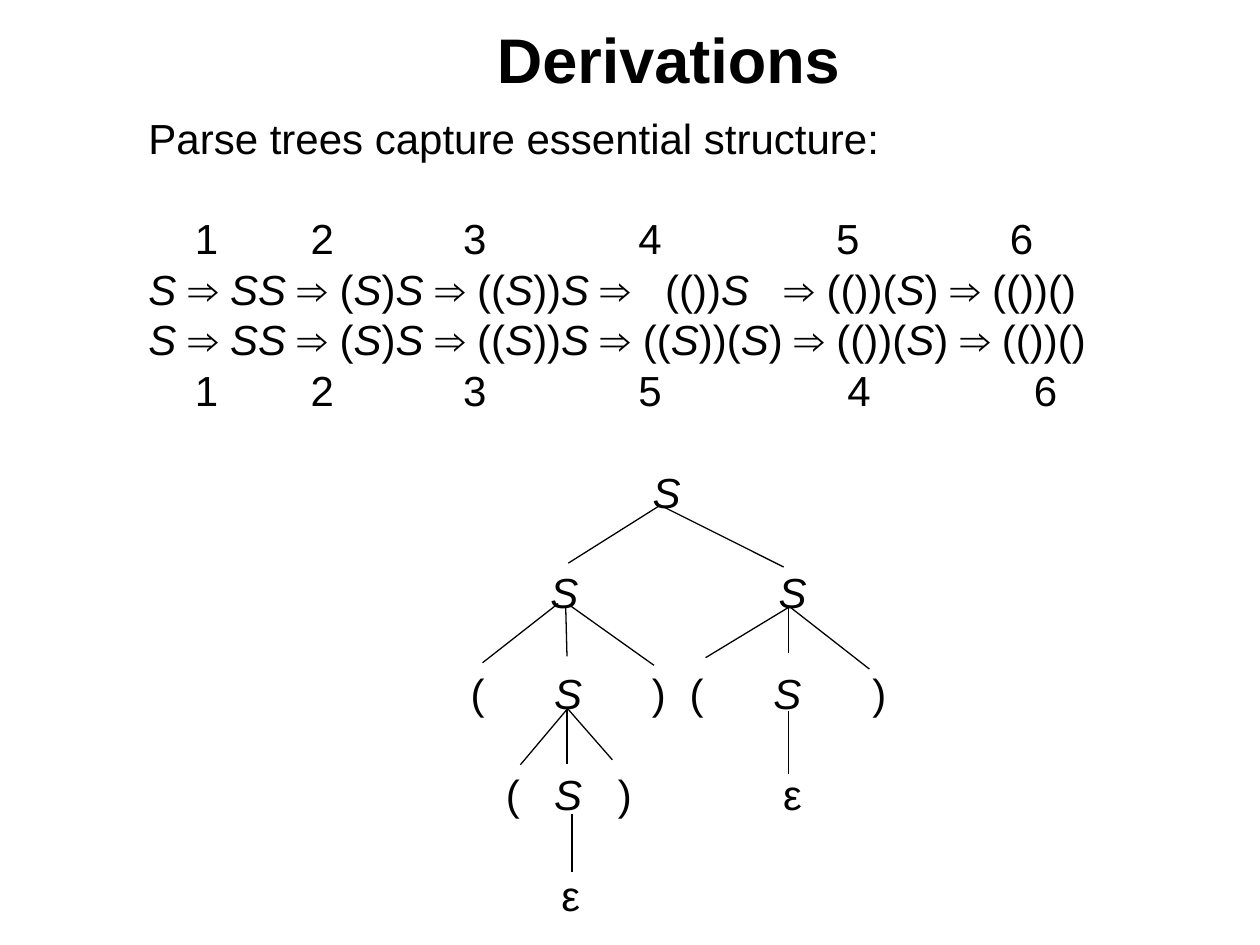
from itertools import groupby

from lxml import etree
from pptx import Presentation
from pptx.dml.color import RGBColor
from pptx.enum.shapes import MSO_CONNECTOR
from pptx.enum.text import MSO_ANCHOR, PP_ALIGN
from pptx.oxml.ns import qn
from pptx.util import Inches, Pt

STRAIGHT = MSO_CONNECTOR.STRAIGHT
MIDDLE = MSO_ANCHOR.MIDDLE
CENTER = PP_ALIGN.CENTER

COLORS = {"ink": "000000"}
FONT = "Arial"
TITLE_SIZE = 36
BODY_SIZE = 24
LINE_PITCH = 28.8

# Text lines: text, tab alignment, tab stops in inches, space before in points
LINES = [
    ("Parse trees capture essential structure:", "l", [], 0),
    ("\t1\t2\t3\t4\t5\t6", "ctr", [0.46, 1.38, 2.59, 3.98, 5.55, 6.93], LINE_PITCH),
    ("S ⇒ SS ⇒ (S)S ⇒ ((S))S ⇒\t(())S\t⇒ (())(S) ⇒ (())()", "l", [4.1, 5.05], 0),
    ("S ⇒ SS ⇒ (S)S ⇒ ((S))S ⇒ ((S))(S) ⇒ (())(S) ⇒ (())()", "l", [], 0),
    ("\t1\t2\t3\t5\t4\t6", "ctr", [0.46, 1.38, 2.59, 3.98, 5.64, 7.12], 0),
]

# Parse tree levels: symbol and centre x
TREE_TOP = 3.9
LEVEL_GAP = 0.8
NODE_SIZE = 0.4
TREE_LEVELS = [
    [("S", 5.29)],
    [("S", 4.48), ("S", 6.29)],
    [("(", 3.79), ("S", 4.51), (")", 5.23), ("(", 5.53), ("S", 6.25), (")", 6.98)],
    [("(", 4.07), ("S", 4.51), (")", 4.96), ("ε", 6.29)],
    [("ε", 4.53)],
]

# Branches from parent to child: x1, y1, x2, y2
BRANCHES = [
    (5.24, 4.01, 4.51, 4.47), (5.24, 4.01, 6.22, 4.5),
    (4.43, 4.79, 3.83, 5.26), (4.49, 4.82, 4.5, 5.21), (4.53, 4.81, 5.19, 5.28),
    (6.26, 4.82, 5.6, 5.22), (6.26, 4.82, 6.26, 5.18), (6.26, 4.81, 6.9, 5.31),
    (4.5, 5.63, 4.13, 6.07), (4.5, 5.61, 4.5, 6.06), (4.51, 5.63, 4.86, 6.03),
    (6.26, 5.64, 6.26, 6.14), (4.54, 6.46, 4.54, 6.92),
]


def ink():
    return RGBColor.from_string(COLORS["ink"])


def style_span(span, size, bold=False, italic=False):
    span.font.name = FONT
    span.font.size = Pt(size)
    span.font.bold = bold
    span.font.italic = italic
    span.font.color.rgb = ink()


def write_symbols(para, text):
    """Write grammar text with every nonterminal S in italics."""
    for is_nonterminal, letters in groupby(text, lambda letter: letter == "S"):
        span = para.add_run()
        span.text = "".join(letters)
        style_span(span, BODY_SIZE, italic=is_nonterminal)


def set_tabs(para, alignment, stops):
    tab_list = etree.SubElement(para._p.get_or_add_pPr(), qn("a:tabLst"))
    for stop in stops:
        etree.SubElement(tab_list, qn("a:tab"), pos=str(Inches(stop)), algn=alignment)


def add_title(page, text):
    title = page.shapes.title
    title.left, title.top = Inches(0.75), Inches(0)
    title.width, title.height = Inches(9.25), Inches(0.92)
    frame = title.text_frame
    frame.text = text
    frame.vertical_anchor = MIDDLE
    frame.paragraphs[0].alignment = CENTER
    style_span(frame.paragraphs[0].runs[0], TITLE_SIZE, bold=True)


def add_lines(page, lines):
    box = page.shapes.add_textbox(Inches(1.08), Inches(0.84), Inches(8.42), Inches(2.5))
    frame = box.text_frame
    frame.word_wrap = True
    for index, (text, alignment, stops, gap) in enumerate(lines):
        para = frame.add_paragraph() if index else frame.paragraphs[0]
        para.line_spacing = Pt(LINE_PITCH)
        para.space_before = Pt(gap)
        if stops:
            set_tabs(para, alignment, stops)
        write_symbols(para, text)


def add_node(page, symbol, x, y):
    half = NODE_SIZE / 2
    box = page.shapes.add_textbox(Inches(x - half), Inches(y - half),
                                  Inches(NODE_SIZE), Inches(NODE_SIZE))
    frame = box.text_frame
    frame.word_wrap = True
    frame.margin_left = frame.margin_right = frame.margin_top = frame.margin_bottom = 0
    frame.vertical_anchor = MIDDLE
    frame.paragraphs[0].alignment = CENTER
    write_symbols(frame.paragraphs[0], symbol)


def add_branch(page, *ends):
    branch = page.shapes.add_connector(STRAIGHT, *map(Inches, ends))
    branch.line.color.rgb = ink()
    branch.line.width = Pt(0.75)
    etree.SubElement(branch._element.spPr, qn("a:effectLst"))


def main():
    deck = Presentation()
    deck.slide_width, deck.slide_height = Inches(10), Inches(7.5)
    page = deck.slides.add_slide(deck.slide_layouts[5])

    # Title and derivation steps
    add_title(page, "Derivations ")
    add_lines(page, LINES)

    # Parse tree
    for level, nodes in enumerate(TREE_LEVELS):
        for symbol, x in nodes:
            add_node(page, symbol, x, TREE_TOP + level * LEVEL_GAP)
    for branch in BRANCHES:
        add_branch(page, *branch)

    deck.save("out.pptx")


if __name__ == "__main__":
    main()
